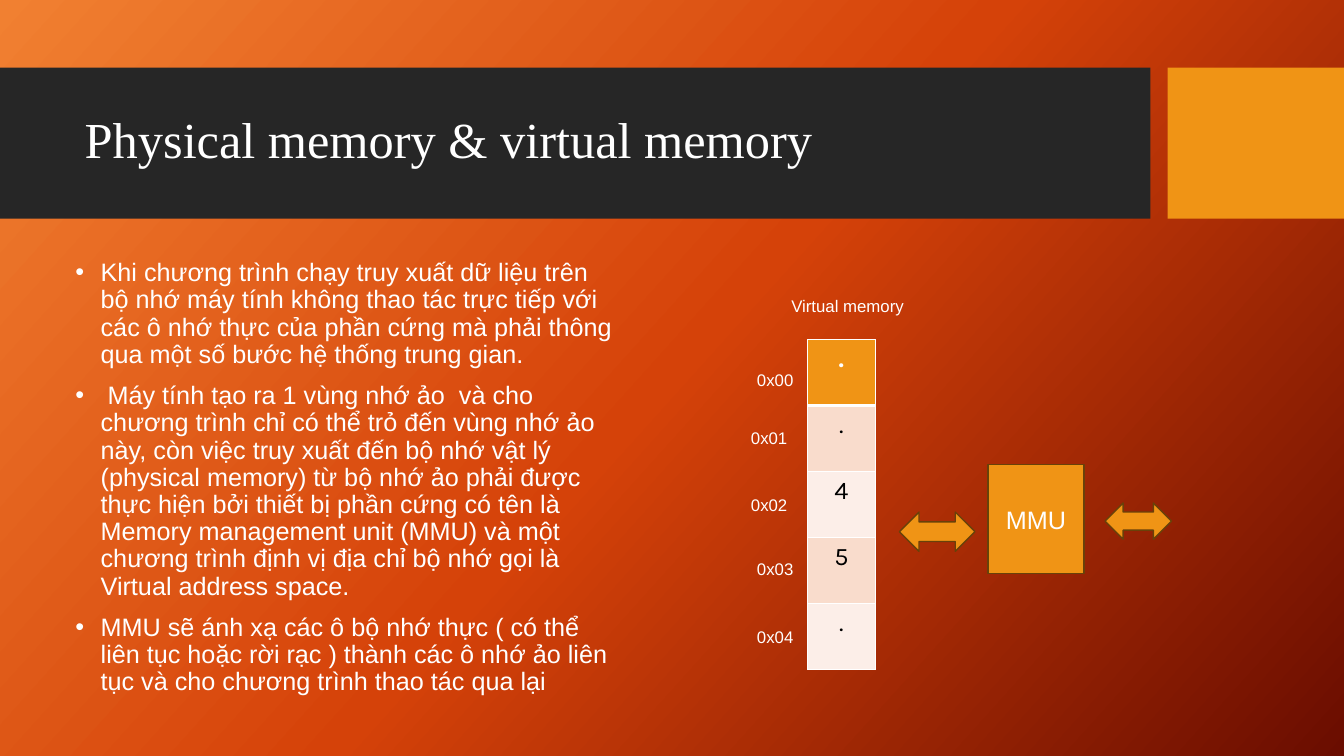
import copy
import pptx
import pptx.util
import pptx.dml.color
import pptx.enum.shapes
import pptx.enum.text
import pptx.oxml
import pptx.oxml.ns
import lxml.etree

Inches = pptx.util.Inches
Pt = pptx.util.Pt
qn = pptx.oxml.ns.qn
SHAPE = pptx.enum.shapes.MSO_SHAPE
ALIGN = pptx.enum.text.PP_ALIGN
ANCHOR = pptx.enum.text.MSO_ANCHOR

COLORS = {
    "white": "FFFFFF", "black": "000000", "dark": "262626",
    "orange": "F09415", "edge": "694109", "peach": "F9DCCC",
    "pale": "FCEEE8", "light": "F18031", "red": "D54209", "deep": "6A0D00",
}
POINTS = [
    "Khi chương trình chạy truy xuất dữ liệu trên bộ nhớ máy tính không thao tác trực tiếp với các ô nhớ thực của phần cứng mà phải thông qua một số bước hệ thống trung gian.",
    " Máy tính tạo ra 1 vùng nhớ ảo  và cho chương trình chỉ có thể trỏ đến vùng nhớ ảo này, còn việc truy xuất đến bộ nhớ vật lý (physical memory) từ bộ nhớ ảo phải được thực hiện bởi thiết bị phần cứng có tên là Memory management unit (MMU) và một chương trình định vị địa chỉ bộ nhớ gọi là Virtual address space.",
    "MMU sẽ ánh xạ các ô bộ nhớ thực ( có thể liên tục hoặc rời rạc ) thành các ô nhớ ảo liên tục và cho chương trình thao tác qua lại",
]
CELLS = [".", ".", "4", "5", "."]
LABELS = [("0x00", 0.06, 0.25), ("0x01", 0, 0.82), ("0x02", 0, 1.49),
          ("0x03", 0.06, 2.12), ("0x04", 0.06, 2.8)]


def color(name):
    """Return the named colour."""
    return pptx.dml.color.RGBColor.from_string(COLORS[name])


def add_run(para, text, size, font="Arial", tone="white", bold=False):
    """Add one formatted run to a paragraph."""
    run = para.add_run()
    run.text = text
    run.font.size = Pt(size)
    run.font.name = font
    run.font.bold = bold
    run.font.color.rgb = color(tone)


def add_block(slide, kind, box, fill, edge=None):
    """Add a flat preset shape, outlined if an edge is given."""
    shape = slide.shapes.add_shape(kind, *map(Inches, box))
    shape.shadow.inherit = False
    shape.fill.solid()
    shape.fill.fore_color.rgb = color(fill)
    if edge:
        shape.line.color.rgb = color(edge)
        shape.line.width = Pt(1)
    else:
        shape.line.fill.background()
    return shape


def add_label(slide, text, box):
    """Add a small text label."""
    frame = slide.shapes.add_textbox(*map(Inches, box)).text_frame
    frame.word_wrap = True
    add_run(frame.paragraphs[0], text, 12)


def paint_back(slide):
    """Fill the background with a three-stop gradient."""
    fill = slide.background.fill
    fill.gradient()
    fill.gradient_angle = 318
    first = next(slide.element.iter(qn("a:gs")))
    first.addnext(copy.deepcopy(first))
    tones = [("light", 0), ("red", 0.5), ("deep", 1)]
    for stop, (tone, place) in zip(fill.gradient_stops, tones):
        stop.color.rgb = color(tone)
        stop.position = place


def add_header(slide, box):
    """Place the title band, its side block and the title."""
    left, top, width, height = box
    band, gap = 11.41, 0.17
    side = left + band + gap
    add_block(slide, SHAPE.RECTANGLE, (left, top, band, height), "dark")
    add_block(slide, SHAPE.RECTANGLE,
              (side, top, left + width - side, height), "orange")
    title = slide.shapes.title
    title.left, title.top = Inches(left + 0.74), Inches(top + 0.15)
    title.width, title.height = Inches(10.51), Inches(1.18)
    slide.shapes._spTree.append(title._element)
    frame = title.text_frame
    frame.word_wrap = True
    frame.vertical_anchor = ANCHOR.MIDDLE
    para = frame.paragraphs[0]
    para.alignment = ALIGN.LEFT
    para.line_spacing = 0.9
    add_run(para, "Physical memory & virtual memory", 36, "Times New Roman")


def add_points(slide, box):
    """Place the bulleted text."""
    frame = slide.shapes.add_textbox(*map(Inches, box)).text_frame
    frame.word_wrap = True
    for index, text in enumerate(POINTS):
        para = frame.add_paragraph() if index else frame.paragraphs[0]
        para.line_spacing = 0.9
        para.space_before = Pt(10)
        props = para._p.get_or_add_pPr()
        props.set("marL", str(Inches(0.25)))
        props.set("indent", str(Inches(-0.25)))
        lxml.etree.SubElement(props, qn("a:buFont")).set("typeface", "Arial")
        lxml.etree.SubElement(props, qn("a:buChar")).set("char", "•")
        add_run(para, text, 18)


def set_edge(cell, side, width):
    """Draw one white cell border."""
    props = cell._tc.get_or_add_tcPr()
    line = lxml.etree.SubElement(props, qn("a:" + side), w=str(Pt(width)))
    fill = lxml.etree.SubElement(line, qn("a:solidFill"))
    lxml.etree.SubElement(fill, qn("a:srgbClr"), val=COLORS["white"])


def add_cells(slide, box):
    """Place the column of memory cells."""
    frame = slide.shapes.add_table(len(CELLS), 1, *map(Inches, box))
    table = frame.table
    for index, text in enumerate(CELLS):
        table.rows[index].height = Inches(box[3] / len(CELLS))
        cell = table.cell(index, 0)
        head = index == 0
        for side in ("lnL", "lnR", "lnT", "lnB"):
            thick = (head and side == "lnB") or (index == 1 and side == "lnT")
            set_edge(cell, side, 3 if thick else 1)
        cell.fill.solid()
        tone = "orange" if head else ("pale", "peach")[index % 2]
        cell.fill.fore_color.rgb = color(tone)
        para = cell.text_frame.paragraphs[0]
        para.alignment = ALIGN.CENTER
        add_run(para, text, 18, "Karla", "white" if head else "black", head)


def add_memory(slide, box):
    """Place the memory diagram: caption, cells, addresses and MMU."""
    left, top, width, height = box
    add_cells(slide, (left + 0.66, top, 0.67, height))
    for text, right, down in LABELS:
        add_label(slide, text, (left + right, top + down, 0.93, 0.3))
    add_label(slide, "Virtual memory", (left + 0.4, top - 0.49, 3, 0.3))
    unit = add_block(slide, SHAPE.RECTANGLE,
                     (left + 2.45, top + 1.24, 0.95, 1.08), "orange", "edge")
    frame = unit.text_frame
    frame.vertical_anchor = ANCHOR.MIDDLE
    frame.paragraphs[0].alignment = ALIGN.CENTER
    add_run(frame.paragraphs[0], "MMU", 18)
    for right, down, wide, high in [(width - 0.66, 1.62, 0.66, 0.36),
                                    (1.57, 1.71, 0.75, 0.39)]:
        add_block(slide, SHAPE.LEFT_RIGHT_ARROW,
                  (left + right, top + down, wide, high), "orange", "edge")


def main():
    """Build and save the slide."""
    deck = pptx.Presentation()
    deck.slide_width, deck.slide_height = Inches(13.33), Inches(7.5)
    slide = deck.slides.add_slide(deck.slide_layouts[5])
    paint_back(slide)
    add_header(slide, (0, 0.67, 13.33, 1.5))
    add_points(slide, (0.65, 2.53, 5.55, 3.94))
    add_memory(slide, (7.35, 3.37, 4.27, 3.27))
    deck.save("out.pptx")


if __name__ == "__main__":
    main()
